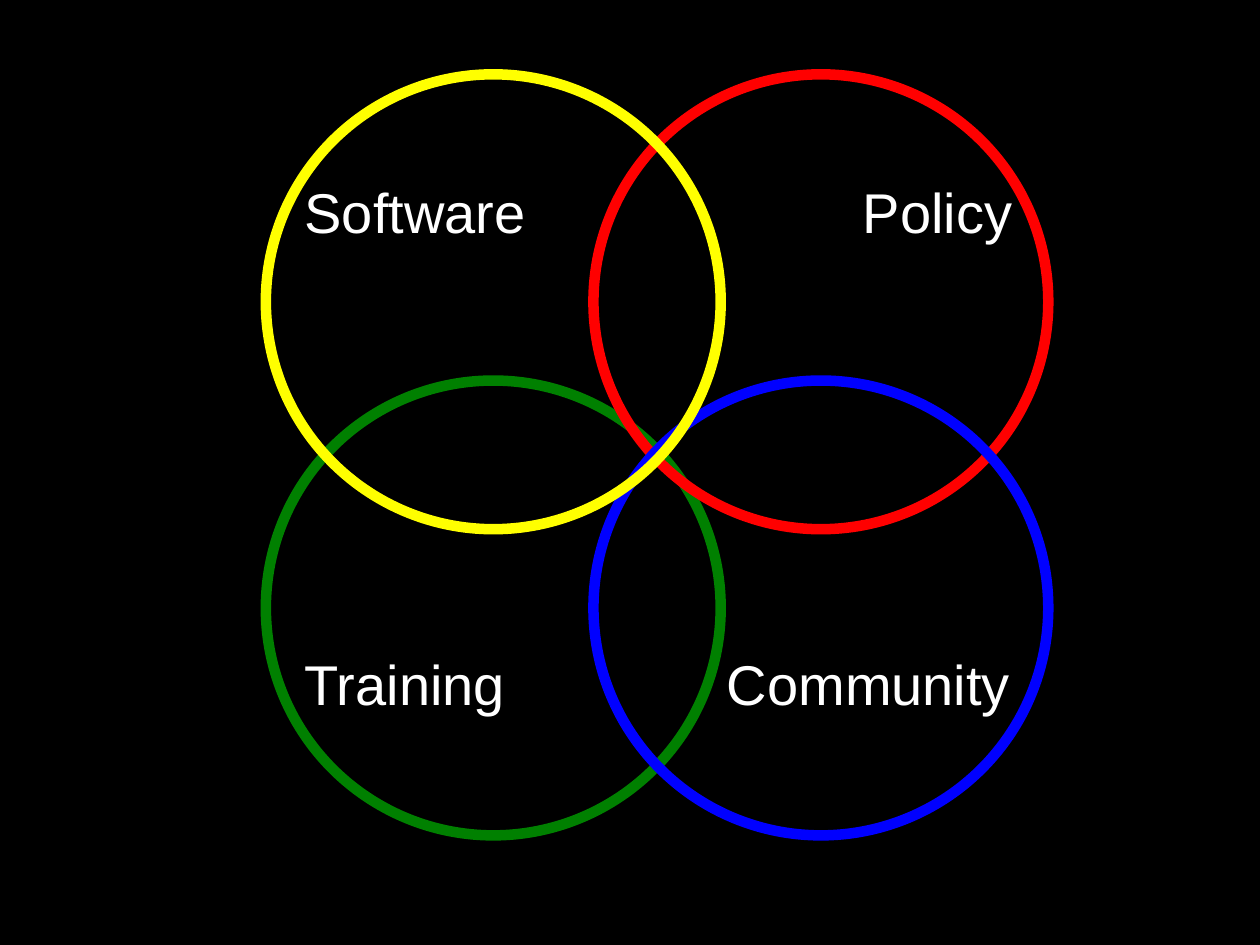
from dataclasses import dataclass

import pptx
import pptx.dml.color
import pptx.enum.shapes
import pptx.enum.text
import pptx.slide
import pptx.util

Inches = pptx.util.Inches
RGBColor = pptx.dml.color.RGBColor

BLACK = RGBColor(0x00, 0x00, 0x00)
WHITE = RGBColor(0xFF, 0xFF, 0xFF)
GREEN = RGBColor(0x00, 0x80, 0x00)
RED = RGBColor(0xFF, 0x00, 0x00)
BLUE = RGBColor(0x00, 0x00, 0xFF)
YELLOW = RGBColor(0xFF, 0xFF, 0x00)

# Two-by-two grid of overlapping rings
DIAMETER = 3.61
RING_LEFTS = (2.11, 4.71)
RING_TOPS = (0.59, 3.02)
LABEL_TOPS = (1.36, 5.11)
LABEL_HEIGHT = 0.64


@dataclass
class Ring:
    column: int
    row: int
    color: RGBColor
    label: str
    label_left: float
    label_width: float


# Listed from back to front
RINGS = [
    Ring(0, 1, GREEN, "Training", 2.32, 1.81),
    Ring(1, 0, RED, "Policy", 6.75, 1.41),
    Ring(1, 1, BLUE, "Community", 5.67, 2.49),
    Ring(0, 0, YELLOW, "Software", 2.32, 1.97),
]


def draw_ring(page: pptx.slide.Slide, ring: Ring) -> None:
    circle = page.shapes.add_shape(
        pptx.enum.shapes.MSO_SHAPE.OVAL,
        Inches(RING_LEFTS[ring.column]), Inches(RING_TOPS[ring.row]),
        Inches(DIAMETER), Inches(DIAMETER),
    )
    circle.shadow.inherit = False
    circle.fill.background()
    circle.line.color.rgb = ring.color
    circle.line.width = pptx.util.Pt(6)


def add_text(page: pptx.slide.Slide, text: str, *, left: float, top: float,
             width: float, height: float, size: float = 32,
             font: str = "Arial", color: RGBColor = WHITE) -> None:
    box = page.shapes.add_textbox(
        Inches(left), Inches(top), Inches(width), Inches(height))
    frame = box.text_frame
    frame.word_wrap = False
    frame.auto_size = pptx.enum.text.MSO_AUTO_SIZE.SHAPE_TO_FIT_TEXT
    span = frame.paragraphs[0].add_run()
    span.text = text
    span.font.name = font
    span.font.size = pptx.util.Pt(size)
    span.font.color.rgb = color


def main() -> None:
    deck = pptx.Presentation()
    deck.slide_width = Inches(10)
    deck.slide_height = Inches(7.5)

    # Blank page on black
    page = deck.slides.add_slide(deck.slide_layouts[6])
    page.background.fill.solid()
    page.background.fill.fore_color.rgb = BLACK

    # Rings first, so that every label lies on top
    for ring in RINGS:
        draw_ring(page, ring)
    for ring in RINGS:
        add_text(page, ring.label, left=ring.label_left,
                 top=LABEL_TOPS[ring.row], width=ring.label_width,
                 height=LABEL_HEIGHT)

    deck.save("out.pptx")


if __name__ == "__main__":
    main()
